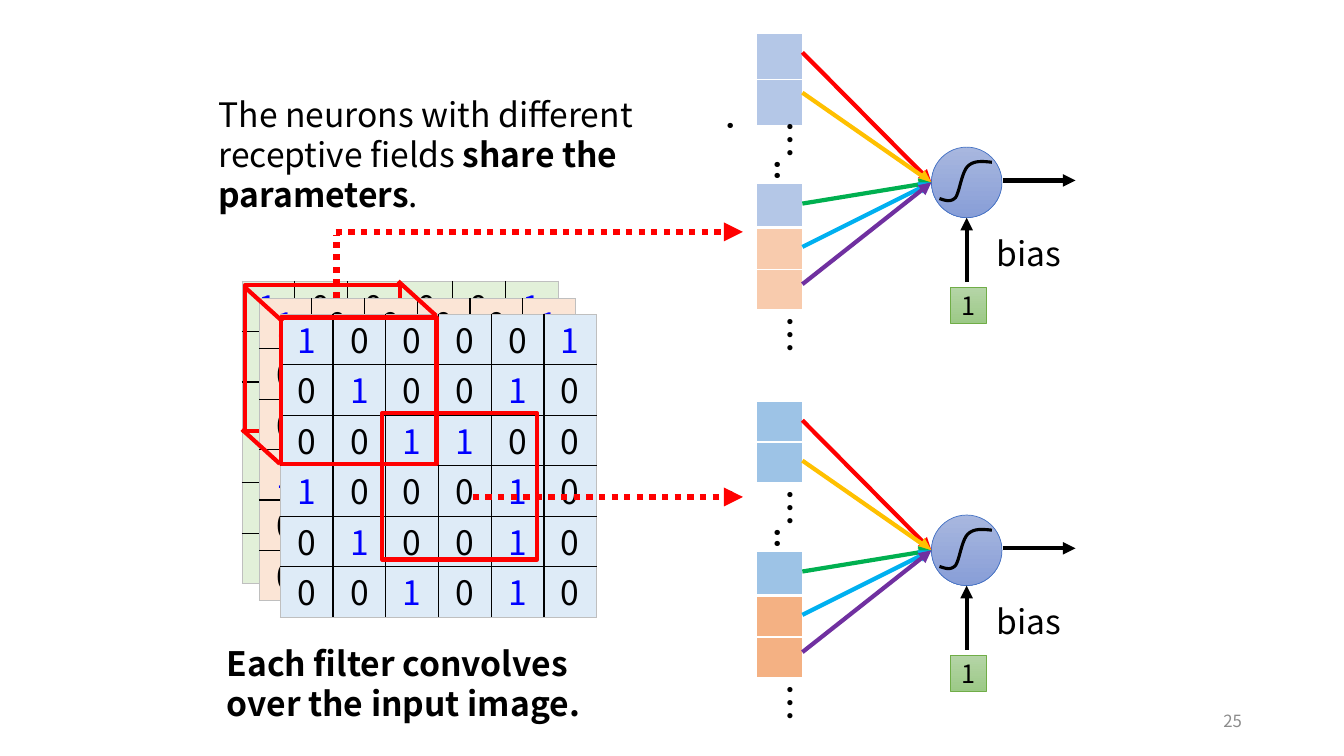
from dataclasses import dataclass

from lxml.etree import SubElement
from pptx import Presentation
from pptx.dml.color import RGBColor
from pptx.enum.dml import MSO_LINE
from pptx.enum.shapes import MSO_CONNECTOR, MSO_SHAPE
from pptx.enum.text import MSO_ANCHOR, MSO_AUTO_SIZE, PP_ALIGN
from pptx.oxml import parse_xml
from pptx.oxml.ns import nsdecls, qn
from pptx.util import Inches, Pt

# The slide is a grid of square cells, ten to the inch.
CELL = Inches(0.1)
COLUMNS, ROWS = 133.33, 75


@dataclass(frozen=True)
class Theme:
    font: str = "Noto Sans CJK SC"
    body: int = 24
    dots: int = 28
    unit: int = 18
    page: int = 12
    ink: str = "000000"
    one: str = "0000FF"
    red: str = "FF0000"
    white: str = "FFFFFF"
    edge: str = "BFBFBF"
    page_grey: str = "8C8C8C"
    neuron: tuple = ("A8B7DF", "889ED7", "4472C4")
    bias: tuple = ("B5D5A7", "9CC987", "70AD47")
    channels: tuple = ("E2F0D9", "FBE5D6", "DEEBF7")
    weights: tuple = ("FF0000", "FFC000", "00B050", "00B0F0", "7030A0")


@dataclass(frozen=True)
class Box:
    x: float
    y: float
    w: float
    h: float

    def inner(self, x, y, w, h):
        """Box at an offset from this one's top left corner."""
        return Box(self.x + x, self.y + y, w, h)

    def point(self, x, y):
        return self.x + x, self.y + y

    def emu(self):
        return [cells(v) for v in (self.x, self.y, self.w, self.h)]


THEME = Theme()
IMAGE = ("100001", "010010", "001100", "100010", "010010", "001010")
FIELD_W, FIELD_H = 15.4, 14.5


def cells(count):
    return int(count * CELL)


def rgb(code):
    return RGBColor.from_string(code)


def style_run(run, size, color=THEME.ink, bold=False):
    run.font.name, run.font.size, run.font.bold = THEME.font, Pt(size), bold
    run.font.color.rgb = rgb(color)


def add_text(slide, box, parts, size=THEME.body, color=THEME.ink,
             align=PP_ALIGN.LEFT, anchor=MSO_ANCHOR.TOP):
    """Text box from (words, bold) parts in one paragraph."""
    label = slide.shapes.add_textbox(*box.emu())
    frame = label.text_frame
    frame.word_wrap = True
    frame.auto_size = MSO_AUTO_SIZE.NONE
    frame.vertical_anchor = anchor
    frame.paragraphs[0].alignment = align
    for words, bold in parts:
        run = frame.paragraphs[0].add_run()
        run.text = words
        style_run(run, size, color, bold)
    return label


def add_line(slide, start, end, color, width=3, arrow=False, dotted=False):
    line = slide.shapes.add_connector(
        MSO_CONNECTOR.STRAIGHT, *[cells(v) for v in (*start, *end)])
    line.line.color.rgb, line.line.width = rgb(color), Pt(width)
    if dotted:
        line.line.dash_style = MSO_LINE.ROUND_DOT
    if arrow:
        SubElement(line.line._get_or_add_ln(), qn("a:tailEnd"), type="triangle")
    SubElement(line._element.spPr, qn("a:effectLst"))


def add_gradient_shape(shapes, kind, box, colors):
    top, bottom, outline = colors
    shape = shapes.add_shape(kind, *box.emu())
    shape.shadow.inherit = False
    shape.fill.gradient()
    shape.fill.gradient_angle = 270
    for stop, color in zip(shape.fill.gradient_stops, (top, bottom)):
        stop.color.rgb = rgb(color)
    shape.line.color.rgb, shape.line.width = rgb(outline), Pt(0.5)
    return shape


def set_borders(cell, sides):
    """Sides are (colour, points) for left, right, top and bottom."""
    for place, (name, (color, width)) in enumerate(zip("LRTB", sides)):
        cell._tc.get_or_add_tcPr().insert(place, parse_xml(
            f'<a:ln{name} {nsdecls("a")} w="{Pt(width)}"><a:solidFill>'
            f'<a:srgbClr val="{color}"/></a:solidFill></a:ln{name}>'))


def add_grid(slide, box, rows, columns, fill, inside, outside):
    grid = slide.shapes.add_table(rows, columns, *box.emu()).table
    grid.first_row = grid.horz_banding = False
    for row in grid.rows:
        row.height = cells(box.h / rows)
    for r in range(rows):
        for c in range(columns):
            cell = grid.cell(r, c)
            cell.margin_top = cell.margin_bottom = 0
            cell.fill.solid()
            cell.fill.fore_color.rgb = rgb(fill)
            at_edge = c == 0, c == columns - 1, r == 0, r == rows - 1
            set_borders(cell, [outside if edge else inside for edge in at_edge])
    return grid


def add_channel(slide, box, fill):
    grid = add_grid(slide, box, len(IMAGE), len(IMAGE[0]), fill,
                    (THEME.ink, 1), (THEME.edge, 0.5))
    for r, values in enumerate(IMAGE):
        for c, value in enumerate(values):
            cell = grid.cell(r, c)
            cell.text = value
            paragraph = cell.text_frame.paragraphs[0]
            paragraph.alignment = PP_ALIGN.CENTER
            style_run(paragraph.runs[0], THEME.body,
                      THEME.one if value == "1" else THEME.ink)


def add_field(slide, box):
    field = slide.shapes.add_shape(MSO_SHAPE.RECTANGLE, *box.emu())
    field.shadow.inherit = False
    field.fill.background()
    field.line.color.rgb, field.line.width = rgb(THEME.red), Pt(3)


def add_input_image(slide, box):
    """Three stacked channels with two receptive fields."""
    offsets = ((0, 0), (1.7, 1.7), (3.8, 3.3))
    for layer, (offset, fill) in enumerate(zip(offsets, THEME.channels)):
        add_channel(slide, box.inner(*offset, 31.4, 30), fill)
        if layer == 0:
            add_field(slide, box.inner(0.3, 0.4, FIELD_W, FIELD_H))
    add_field(slide, box.inner(3.9, 3.6, FIELD_W, FIELD_H))
    for x, y in ((0, 14.7), (15.5, 0), (0.3, 0.6)):
        add_line(slide, box.point(x, y), box.point(x + 3.75, y + 3.4), THEME.red)
    add_field(slide, box.inner(13.9, 13.1, FIELD_W, FIELD_H))


def add_dots(slide, box, dots):
    add_text(slide, box, [(dots, False)], THEME.dots).rotation = 90


def add_column(slide, box, rows, fill):
    white = (THEME.white, 1)
    grid = add_grid(slide, box, rows, 1, fill, white, white)
    for r in range(rows):
        grid.cell(r, 0).text_frame.paragraphs[0].font.size = Pt(THEME.unit)


def bezier(p0, p1, p2, p3, steps=10):
    for step in range(1, steps + 1):
        t = step / steps
        yield tuple((1 - t) ** 3 * a + 3 * t * (1 - t) ** 2 * b
                    + 3 * t * t * (1 - t) * c + t ** 3 * d
                    for a, b, c, d in zip(p0, p1, p2, p3))


def add_activation(slide, box):
    """Round neuron with a sigmoid inside."""
    group = slide.shapes.add_group_shape()
    add_gradient_shape(group.shapes, MSO_SHAPE.OVAL, box, THEME.neuron)
    knots = [box.point(x, y) for x, y in (
        (6, 1.5), (5.1, 1.4), (4.2, 1.3), (3.6, 1.9), (3, 2.5),
        (2.8, 4.4), (2.4, 5), (1.9, 5.5), (1.4, 5.3), (0.8, 5.1))]
    curve = [p for i in (0, 3, 6) for p in bezier(*knots[i:i + 4])]
    builder = group.shapes.build_freeform(*[cells(v) for v in knots[0]])
    builder.add_line_segments([(cells(x), cells(y)) for x, y in curve], close=False)
    sigmoid = builder.convert_to_shape()
    sigmoid.shadow.inherit = False
    sigmoid.fill.background()
    sigmoid.line.color.rgb, sigmoid.line.width = rgb(THEME.ink), Pt(2.25)


def add_neuron(slide, box, first_row, first_fill, second_fill):
    add_column(slide, box.inner(0, 0, 4.6, 2 * first_row), 2, first_fill)
    add_column(slide, box.inner(0, 14.9, 4.6, 4.3), 1, first_fill)
    add_dots(slide, box.inner(-0.6, 8.9, 8.2, 5.7), "…...")
    add_column(slide, box.inner(0, 19.4, 4.6, 8), 2, second_fill)
    add_dots(slide, box.inner(-0.6, 28.3, 8.2, 5.7), "…")
    add_activation(slide, box.inner(17.4, 11.3, 7, 7))
    add_line(slide, box.point(24.5, 14.6), box.point(31.7, 14.6), THEME.ink, arrow=True)
    for y, color in zip((1.9, 5.9, 16.9, 21.2, 24.9), THEME.weights):
        add_line(slide, box.point(4.6, y), box.point(17.4, 14.8), color, arrow=True)
    add_line(slide, box.point(20.9, 24.7), box.point(20.9, 18.3), THEME.ink, arrow=True)
    unit = add_gradient_shape(slide.shapes, MSO_SHAPE.RECTANGLE,
                              box.inner(19.3, 25.2, 3.6, 3.6), THEME.bias)
    unit.text_frame.text = "1"
    unit.text_frame.vertical_anchor = MSO_ANCHOR.MIDDLE
    unit.text_frame.paragraphs[0].alignment = PP_ALIGN.CENTER
    style_run(unit.text_frame.paragraphs[0].runs[0], THEME.unit)
    add_text(slide, box.inner(22.9, 19.3, 13.1, 5), [("bias", False)])


def add_field_arrows(slide):
    add_line(slide, (33.4, 29.6), (33.4, 23.3), THEME.red, 4.5, dotted=True)
    for start, row in ((33.3, 23), (46.9, 49.3)):
        add_line(slide, (start, row), (73.7, row), THEME.red, 4.5, True, True)


def main():
    deck = Presentation()
    deck.slide_width, deck.slide_height = cells(COLUMNS), cells(ROWS)
    slide = deck.slides.add_slide(deck.slide_layouts[6])
    add_neuron(slide, Box(75, 3.3, 36, 34), 4.6, "B4C7E7", "F8CBAD")
    add_neuron(slide, Box(75, 39.8, 36, 34), 4.05, "9DC3E6", "F4B183")
    add_input_image(slide, Box(24, 27.9, 35.2, 33.3))
    add_field_arrows(slide)
    add_text(slide, Box(94.2, 69.5, 30, 4), [("25", False)], THEME.page,
             THEME.page_grey, PP_ALIGN.RIGHT, MSO_ANCHOR.MIDDLE)
    add_text(slide, Box(20.7, 8.8, 52.4, 13.1), [
        ("The neurons with different receptive fields ", False),
        ("share the parameters", True), (".", False)])
    add_text(slide, Box(21.5, 63.3, 43.7, 9.1),
             [("Each filter convolves over\u00a0the input image.", True)])
    deck.save("out.pptx")


if __name__ == "__main__":
    main()
